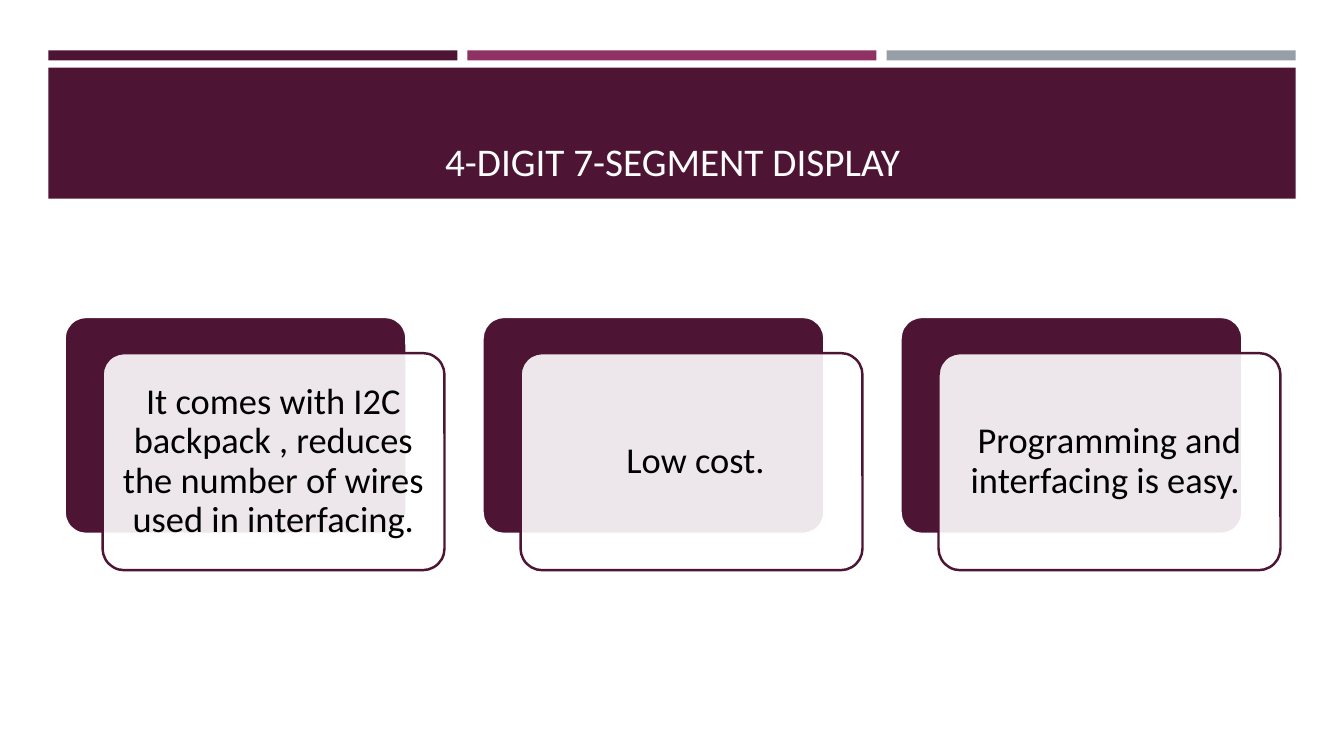
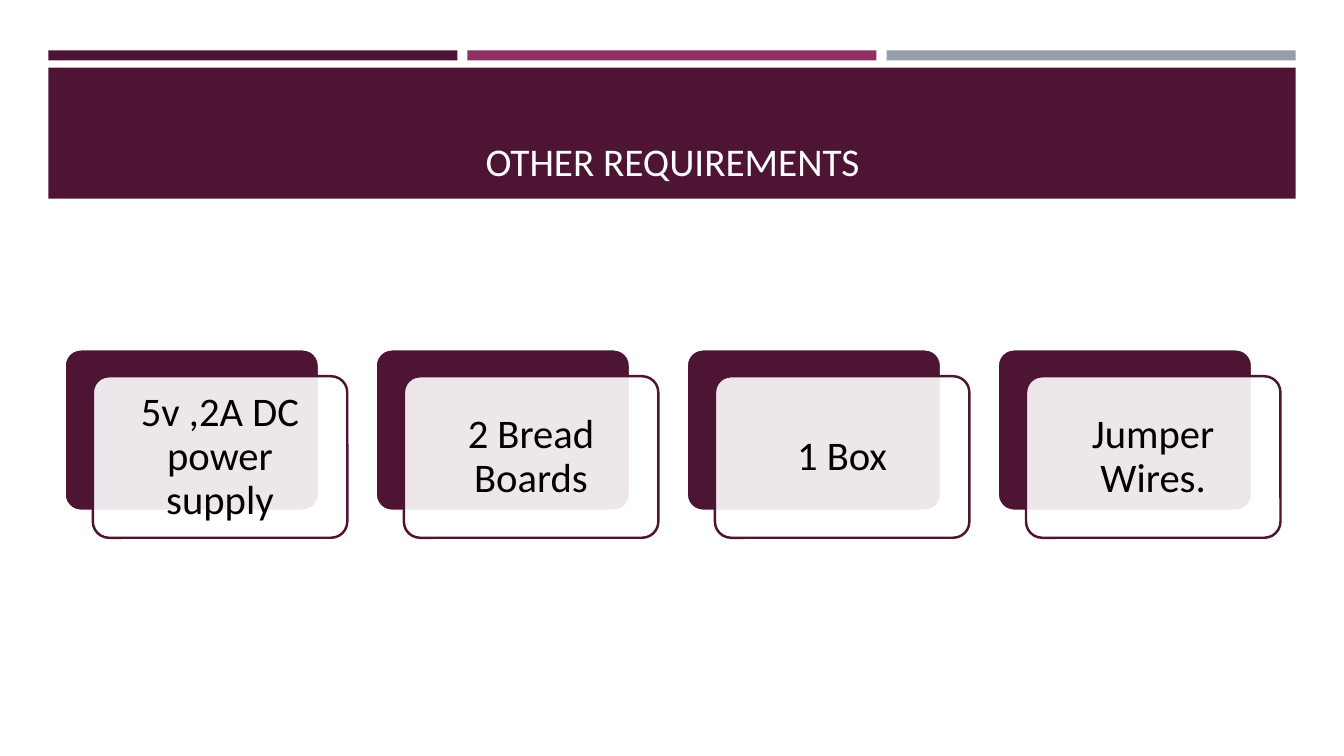
from lxml import etree
from pptx import Presentation
from pptx.dml.color import RGBColor
from pptx.enum.shapes import MSO_SHAPE
from pptx.enum.text import MSO_ANCHOR, MSO_AUTO_SIZE, PP_ALIGN
from pptx.oxml.ns import qn
from pptx.util import Inches, Pt

RECT = MSO_SHAPE.RECTANGLE
ROUNDED = MSO_SHAPE.ROUNDED_RECTANGLE
CENTER = PP_ALIGN.CENTER
BOTTOM, MIDDLE = MSO_ANCHOR.BOTTOM, MSO_ANCHOR.MIDDLE
NO_AUTOFIT = MSO_AUTO_SIZE.NONE

COLORS = {
    "plum": "4D1434",
    "magenta": "903163",
    "gray": "969FA7",
    "white": "FFFFFF",
    "title": "FFFEFF",
    "text": "000000",
}
FONT = "Calibri"
TITLE_ONLY = 5

# Frame of the header, in inches
BAND_LEFT, BAND_TOP, BAND_WIDTH, BAND_HEIGHT = 0.48, 0.67, 12.37, 1.3
STRIPE_TOP, STRIPE_HEIGHT, STRIPE_GAP = 0.5, 0.1, 0.1
STRIPE_COLORS = ("plum", "magenta", "gray")

# Content column, in inches; card proportions are shares of the card width
CONTENT_LEFT, CONTENT_WIDTH, CARDS_MIDDLE = 0.64, 12.06, 4.4
CARD_HEIGHT = 0.635
SHIFT_X, SHIFT_Y = 1 / 9, 0.106
CARD_PITCH = 1 + 2 * SHIFT_X


def rgb(name):
    return RGBColor.from_string(COLORS[name])


class Deck:
    """Holds the style and the slide being filled."""

    def __init__(self):
        self.prs = Presentation()
        self.prs.slide_width, self.prs.slide_height = Inches(13.33), Inches(7.5)
        self.slide = None

    def new_slide(self, title):
        self.slide = self.prs.slides.add_slide(self.prs.slide_layouts[TITLE_ONLY])
        self.stripes()
        self.box(self.slide.shapes, RECT, BAND_LEFT, BAND_TOP,
                 BAND_WIDTH, BAND_HEIGHT, "plum")
        self.title(title)

    def box(self, shapes, kind, left, top, width, height, fill, line=None):
        shape = shapes.add_shape(kind, *map(Inches, (left, top, width, height)))
        shape.shadow.inherit = False
        shape.fill.solid()
        shape.fill.fore_color.rgb = rgb(fill)
        if line:
            shape.line.color.rgb = rgb(line)
            shape.line.width = Pt(1.75)
        else:
            shape.line.fill.background()
        return shape

    def text(self, shape, words, size, color, anchor):
        frame = shape.text_frame
        frame.text = words
        frame.word_wrap = True
        frame.auto_size = NO_AUTOFIT
        frame.vertical_anchor = anchor
        paragraph = frame.paragraphs[0]
        paragraph.alignment = CENTER
        paragraph.font.name = FONT
        paragraph.font.size = Pt(size)
        paragraph.font.color.rgb = rgb(color)
        return frame

    def stripes(self):
        count = len(STRIPE_COLORS)
        width = (BAND_WIDTH - (count - 1) * STRIPE_GAP) / count
        for i, color in enumerate(STRIPE_COLORS):
            self.box(self.slide.shapes, RECT, BAND_LEFT + i * (width + STRIPE_GAP),
                     STRIPE_TOP, width, STRIPE_HEIGHT, color)

    def title(self, words):
        """Fill the title placeholder and bring it in front of the band."""
        title = self.slide.shapes.title
        title.left, title.top = Inches(CONTENT_LEFT), Inches(0.77)
        title.width, title.height = Inches(CONTENT_WIDTH), Inches(1.11)
        self.text(title, words, 28, "title", BOTTOM)
        title.element.getparent().append(title.element)

    def card(self, left, top, width, words, size):
        """A plum plate with a translucent text card shifted over it."""
        shapes = self.slide.shapes.add_group_shape().shapes
        height = CARD_HEIGHT * width
        plate = self.box(shapes, ROUNDED, left, top, width, height, "plum", "white")
        front = self.box(shapes, ROUNDED, left + SHIFT_X * width,
                         top + SHIFT_Y * width, width, height, "white", "plum")
        plate.adjustments[0] = front.adjustments[0] = 0.1
        tint = front.fill._xPr.find(f"{qn('a:solidFill')}/{qn('a:srgbClr')}")
        etree.SubElement(tint, qn("a:alpha"), val="90000")

        frame = self.text(front, words, size, "text", MIDDLE)
        frame.paragraphs[0].line_spacing = 0.9
        inset = Pt(0.3 * size)
        frame.margin_left = frame.margin_right = inset
        frame.margin_top = frame.margin_bottom = inset

    def card_row(self, items, size):
        """Spread the cards over the content column, centred on one line."""
        width = CONTENT_WIDTH / ((len(items) - 1) * CARD_PITCH + 1 + SHIFT_X)
        top = CARDS_MIDDLE - (CARD_HEIGHT + SHIFT_Y) * width / 2
        for i, words in enumerate(items):
            self.card(CONTENT_LEFT + i * CARD_PITCH * width, top, width, words, size)


def main():
    deck = Deck()

    deck.new_slide("4-DIGIT 7-SEGMENT DISPLAY")
    deck.card_row([
        "It comes with I2C backpack , reduces the number of wires used in interfacing.",
        " Low cost.",
        "Programming and interfacing is easy. ",
    ], size=26)

    deck.new_slide("OTHER REQUIREMENTS")
    deck.card_row([
        "5v ,2A DC power supply",
        "2 Bread Boards",
        "1 Box",
        "Jumper Wires.",
    ], size=29)

    deck.prs.save("out.pptx")


if __name__ == "__main__":
    main()
